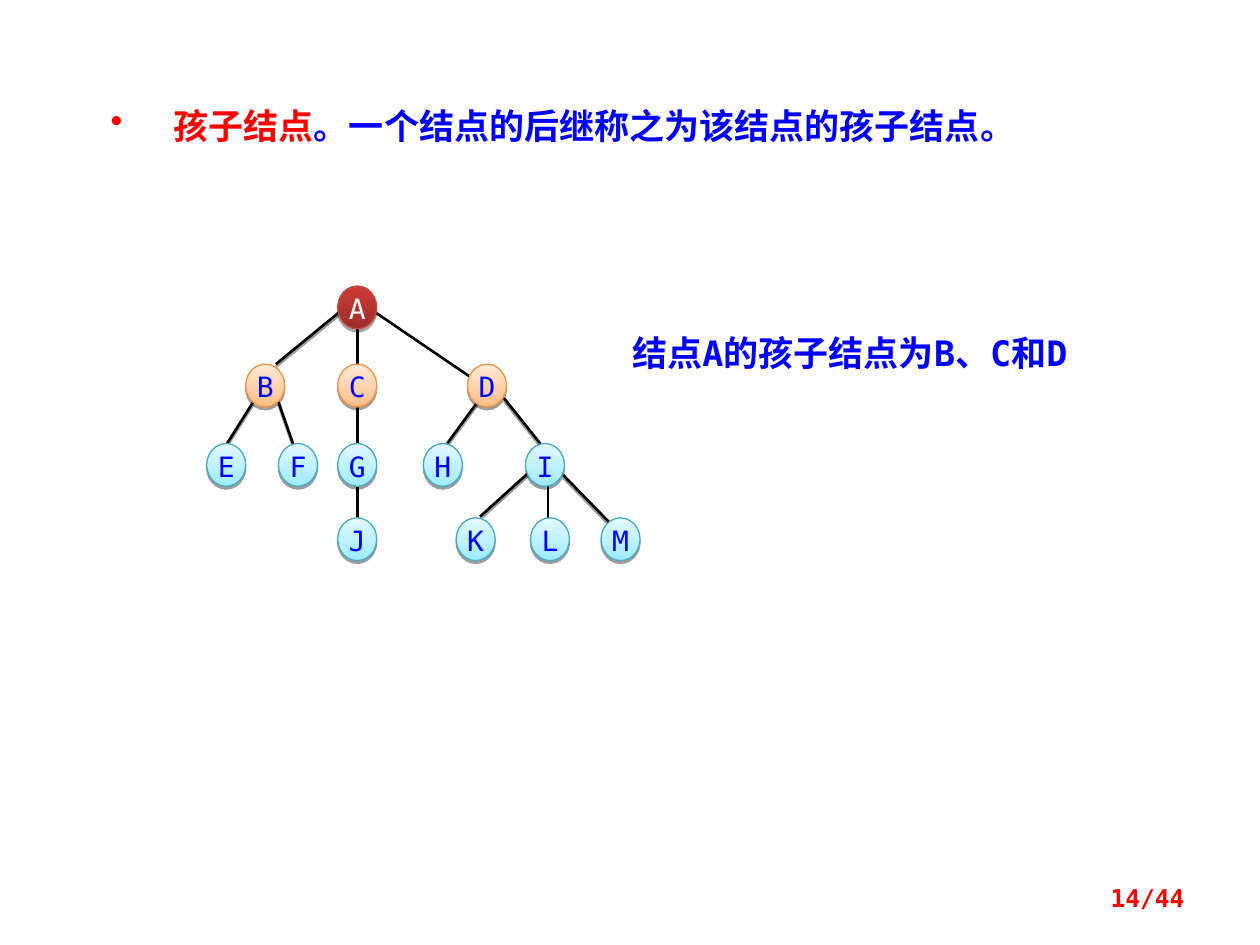
from lxml import etree
from pptx import Presentation
from pptx import util as u
from pptx.dml.color import RGBColor
from pptx.enum import shapes, text
from pptx.oxml.ns import qn

COLORS = {"red": "FF0000", "blue": "0000FF", "black": "000000", "white": "FFFFFF"}
MONO, CJK = "DejaVu Sans Mono", "Noto Sans CJK SC"
STYLES = {
    "root": {"low": "9B2D2A", "high": "CE3B37", "line": "BE4B48", "text": COLORS["white"]},
    "child": {"low": "FFBE86", "high": "FFEBDB", "line": "F69240", "text": COLORS["blue"]},
    "other": {"low": "9EEAFF", "high": "E4F9FF", "line": "46AAC5", "text": COLORS["blue"]},
}
NODE_WIDTH, NODE_HEIGHT = 0.31, 0.34
LEVELS = [
    (0, "root", {"A": 1.04}),
    (0.62, "child", {"B": 0.31, "C": 1.04, "D": 2.07}),
    (1.25, "other", {"E": 0, "F": 0.57, "G": 1.04, "H": 1.72, "I": 2.53}),
    (1.84, "other", {"J": 1.04, "K": 1.98, "L": 2.57, "M": 3.13}),
]
SHADED_EDGES = [
    (2.18, 0.88, 1.88, 1.29), (2.36, 0.89, 2.68, 1.29),
    (2.83, 1.5, 3.2, 1.88), (2.58, 1.46, 2.17, 1.83),
    (0.57, 0.92, 0.71, 1.32), (0.37, 0.92, 0.15, 1.27),
    (1.05, 0.21, 0.55, 0.62),
]
PLAIN_EDGES = [(2.71, 1.58, 2.71, 1.89), (1.2, 0.31, 1.2, 1.9), (1.34, 0.21, 2.09, 0.72)]


def rgb(code):
    """Turn a hex string into a colour."""
    return RGBColor.from_string(code)


def style_font(font, size, color, name=MONO, bold=False):
    """Set the size, colour, name and weight of a font."""
    font.size, font.name, font.bold = u.Pt(size), name, bold
    font.color.rgb = rgb(color)


def set_shadow(shape, opacity=0, distance=0):
    """Give a shape a hard shadow below it, or none at zero opacity."""
    effects = etree.SubElement(shape._element.spPr, qn("a:effectLst"))
    if opacity:
        shadow = etree.SubElement(effects, qn("a:outerShdw"), blurRad="0",
                                  dist=str(u.Pt(distance)), dir="5400000", rotWithShape="0")
        color = etree.SubElement(shadow, qn("a:srgbClr"), val=COLORS["black"])
        etree.SubElement(color, qn("a:alpha"), val=str(opacity * 1000))


def add_box(page, left, top, width, height):
    """Add a wrapping text box and return its frame."""
    frame = page.shapes.add_textbox(*map(u.Inches, (left, top, width, height))).text_frame
    frame.word_wrap = True
    return frame


def add_definition(page, *area):
    """Write the bulleted definition with its term in red."""
    para = add_box(page, *area).paragraphs[0]
    props = para._p.get_or_add_pPr()
    props.set("marL", str(u.Inches(0.5)))
    props.set("indent", str(-u.Inches(0.5)))
    bullet_color = etree.SubElement(props, qn("a:buClr"))
    etree.SubElement(bullet_color, qn("a:srgbClr"), val=COLORS["red"])
    etree.SubElement(props, qn("a:buChar"), char="•")
    for words, color, name in [
        ("孩子结点", "red", CJK),
        ("。一个结点的后继称之为该结点的孩子结点。", "blue", MONO),
    ]:
        span = para.add_run()
        span.text = words
        style_font(span.font, 20, COLORS[color], name, True)


def add_caption(page, *area):
    """Write the sentence that names the children of the root."""
    para = add_box(page, *area).paragraphs[0]
    para.text = "结点A的孩子结点为B、C和D"
    style_font(para.font, 20, COLORS["blue"], bold=True)


def add_edge(group, left, top, ends, shaded):
    """Draw one edge from ends given relative to the tree corner."""
    x1, y1, x2, y2 = ends
    points = map(u.Inches, (left + x1, top + y1, left + x2, top + y2))
    edge = group.shapes.add_connector(shapes.MSO_CONNECTOR.STRAIGHT, *points)
    edge.line.color.rgb = rgb(COLORS["black"])
    edge.line.width = u.Pt(1.5)
    set_shadow(edge, 38 if shaded else 0, 1.6)


def add_node(group, left, top, label, kind):
    """Draw one labelled tree node."""
    style = STYLES[kind]
    area = map(u.Inches, (left, top, NODE_WIDTH, NODE_HEIGHT))
    node = group.shapes.add_shape(shapes.MSO_SHAPE.OVAL, *area)
    node.fill.gradient()
    node.fill.gradient_angle = 90
    for stop, shade in zip(node.fill.gradient_stops, ("low", "high")):
        stop.color.rgb = rgb(style[shade])
    low, high = node.fill.gradient_stops
    low.position, high.position = 0, 1
    node.line.color.rgb = rgb(style["line"])
    node.line.width = u.Pt(0.75)
    set_shadow(node, *((35, 1.8) if kind == "root" else (38, 1.6)))
    frame = node.text_frame
    frame.margin_left = frame.margin_right = frame.margin_top = frame.margin_bottom = 0
    frame.vertical_anchor = text.MSO_ANCHOR.TOP
    para = frame.paragraphs[0]
    para.text = label
    para.alignment = text.PP_ALIGN.CENTER
    para.line_spacing = u.Pt(19)
    style_font(para.font, 16, style["text"])


def add_tree(page, left, top):
    """Draw the tree with its edges behind its nodes."""
    group = page.shapes.add_group_shape()
    for ends in SHADED_EDGES:
        add_edge(group, left, top, ends, True)
    for ends in PLAIN_EDGES:
        add_edge(group, left, top, ends, False)
    for y, kind, row in LEVELS:
        for label, x in row.items():
            add_node(group, left + x, top + y, label, kind)


def add_page_number(page, *area):
    """Write the page count in the lower right corner."""
    frame = add_box(page, *area)
    frame.vertical_anchor = text.MSO_ANCHOR.MIDDLE
    para = frame.paragraphs[0]
    para.text = "14/44"
    para.alignment = text.PP_ALIGN.RIGHT
    para.line_spacing = 0.8
    style_font(para.font, 14, COLORS["red"], bold=True)


def main():
    """Build and save the slide."""
    deck = Presentation()
    deck.slide_width, deck.slide_height = u.Inches(10), u.Inches(7.5)
    page = deck.slides.add_slide(deck.slide_layouts[6])
    add_definition(page, 0.78, 0.78, 8.05, 0.44)
    add_caption(page, 4.92, 2.58, 3.98, 0.77)
    add_tree(page, 1.64, 2.27)
    add_page_number(page, 7.17, 6.95, 2.33, 0.4)
    deck.save("out.pptx")


if __name__ == "__main__":
    main()
